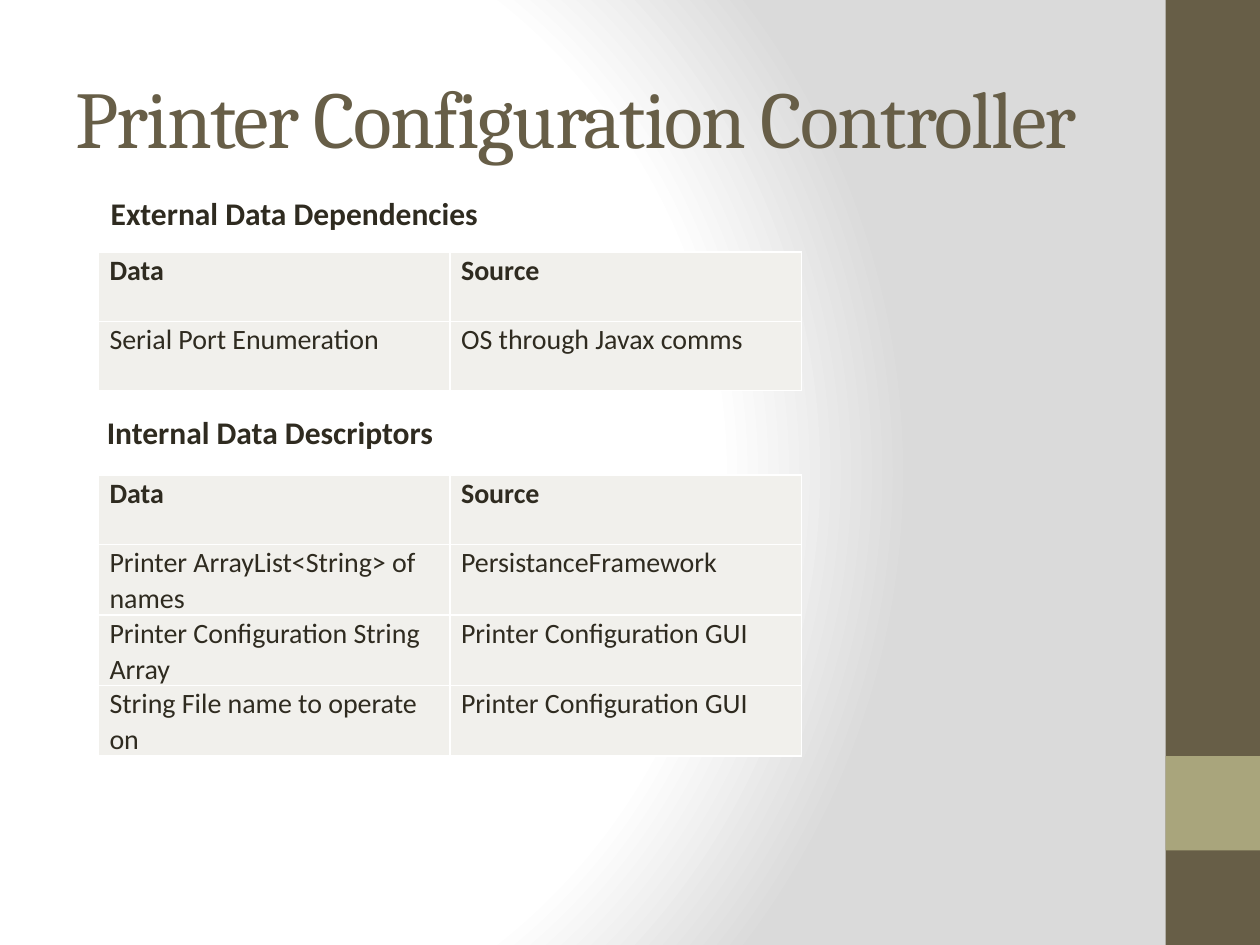
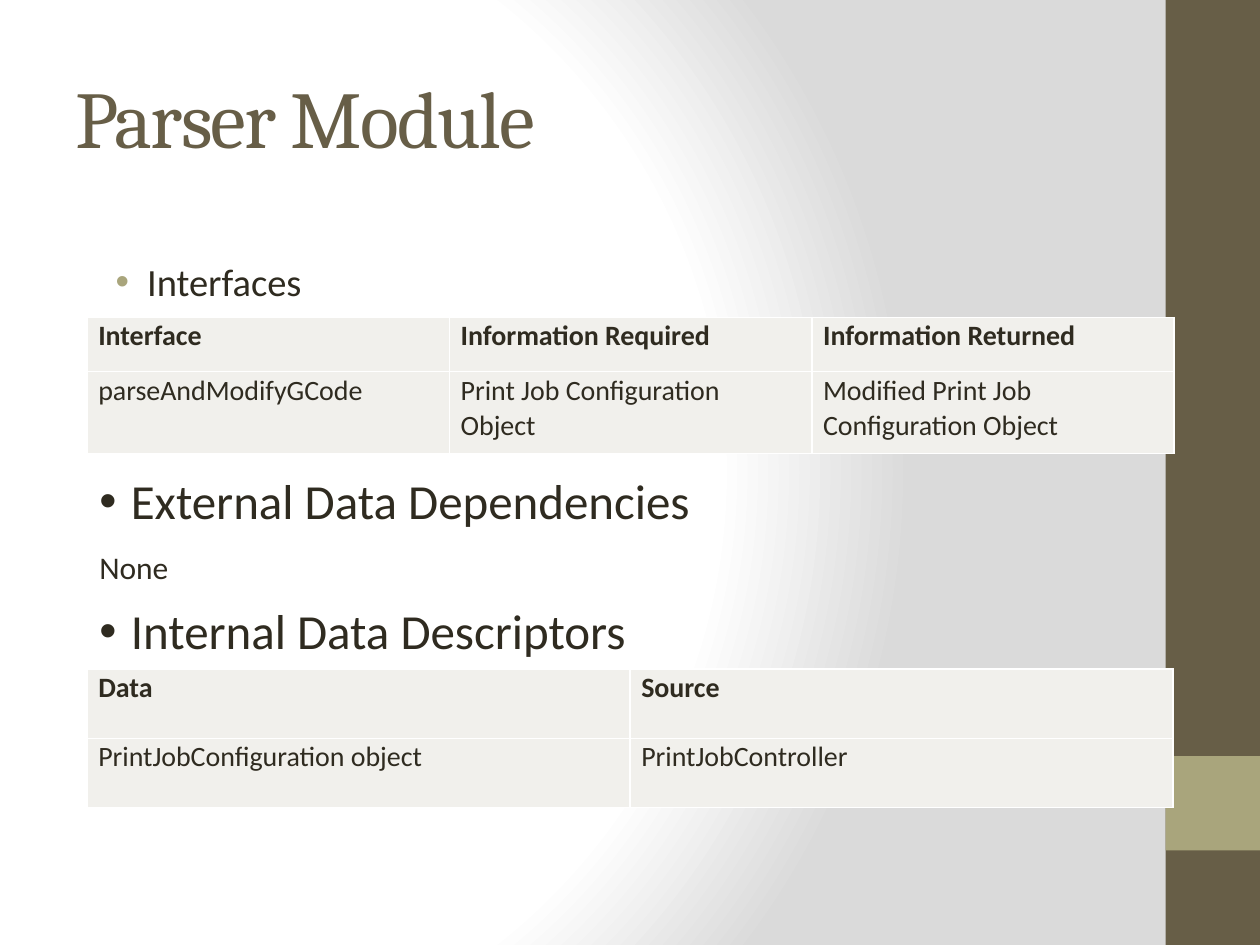
"""Build two software design slides with data tables."""
from dataclasses import dataclass
from typing import Optional

from lxml import etree
from pptx import Presentation
from pptx import util as u
from pptx.dml.color import RGBColor
from pptx.enum import shapes, text
from pptx.oxml import ns, parse_xml


@dataclass(frozen=True)
class Theme:
    brown: str = "675E47"
    olive: str = "A9A57C"
    ink: str = "2F2B20"
    cell: str = "F1F0EC"
    white: str = "FFFFFF"
    grey: str = "DADADA"
    heading_font: str = "Cambria"
    body_font: str = "Calibri"
    title_size: float = 46
    section_size: float = 28
    bullet_size: float = 22
    caption_size: float = 18
    table_size: float = 16


@dataclass(frozen=True)
class Band:
    top: float
    height: float
    color: str


@dataclass(frozen=True)
class Label:
    words: str
    left: float
    top: float
    width: float
    height: float = 0.4
    size: float = 18
    bold: bool = False
    indent: Optional[float] = None
    bullet_color: str = "2F2B20"
    space_before: float = 0
    line_spacing: float = 1.0


@dataclass(frozen=True)
class Grid:
    left: float
    top: float
    width: float
    row_heights: tuple[float, ...]
    rows: tuple[tuple[str, ...], ...]
    body_justified: bool = False
    body_space_after: float = 0


@dataclass(frozen=True)
class Page:
    title: str
    labels: tuple[Label, ...]
    grids: tuple[Grid, ...]


THEME = Theme()
BANDS = (Band(0, 7.5, THEME.brown), Band(6, 0.75, THEME.olive))
DATA_HEADER = ("Data", "Source")


def section(words: str, top: float) -> Label:
    return Label(words, 0.69, top, 8.62, 0.56, THEME.section_size, indent=0.25,
                 space_before=10, line_spacing=0.9)


PAGES = (
    Page(
        "Printer Configuration Controller",
        (
            Label("External Data Dependencies", 0.78, 1.49, 3.21, bold=True),
            Label("Internal Data Descriptors", 0.75, 3.23, 3.03, bold=True),
        ),
        (
            Grid(0.78, 2, 5.58, (0.55,) * 2, (
                DATA_HEADER,
                ("Serial Port Enumeration", "OS through Javax comms"),
            )),
            Grid(0.78, 3.77, 5.58, (0.55,) * 4, (
                DATA_HEADER,
                ("Printer ArrayList<String> of names", "PersistanceFramework"),
                ("Printer Configuration String Array", "Printer Configuration GUI"),
                ("String File name to operate on", "Printer Configuration GUI"),
            )),
        ),
    ),
    Page(
        "Parser Module",
        (
            Label("Interfaces", 0.69, 2, 8.62, 0.56, THEME.bullet_size, indent=0.38,
                  bullet_color=THEME.olive),
            section("External Data Dependencies", 3.74),
            Label("None", 0.69, 4.3, 1.6),
            section("Internal Data Descriptors", 4.77),
        ),
        (
            Grid(0.69, 2.52, 8.63, (0.43, 0.65), (
                ("Interface", "Information Required", "Information Returned"),
                ("parseAndModifyGCode", "Print Job Configuration Object",
                 "Modified Print Job Configuration Object"),
            ), body_space_after=8),
            Grid(0.69, 5.31, 8.62, (0.55,) * 2, (
                DATA_HEADER,
                ("PrintJobConfiguration object", "PrintJobController"),
            ), body_justified=True, body_space_after=8),
        ),
    ),
)


def set_background(master) -> None:
    fill = master.background.fill
    fill.gradient()
    gradient = master.element.xpath("./p:cSld/p:bg/p:bgPr/a:gradFill")[0]
    stops = "".join(
        f'<a:gs pos="{position * 1000}"><a:srgbClr val="{color}"/></a:gs>'
        for position, color in ((0, THEME.white), (75, THEME.white), (100, THEME.grey))
    )
    radial = parse_xml(
        f'<a:gradFill {ns.nsdecls("a")} rotWithShape="1"><a:gsLst>{stops}</a:gsLst>'
        '<a:path path="circle"><a:fillToRect l="20000" t="50000" r="100000" b="50000"/>'
        "</a:path></a:gradFill>"
    )
    gradient.getparent().replace(gradient, radial)


def add_run(paragraph, words: str, size: float, color: str = THEME.ink,
            font: str = THEME.body_font, bold: bool = False):
    run = paragraph.add_run()
    run.text = words
    run.font.size = u.Pt(size)
    run.font.name = font
    run.font.bold = bold
    run.font.color.rgb = RGBColor.from_string(color)
    return run


def add_bands(slide) -> None:
    for band in BANDS:
        shape = slide.shapes.add_shape(
            shapes.MSO_SHAPE.RECTANGLE, u.Inches(9.25), u.Inches(band.top),
            u.Inches(0.75), u.Inches(band.height))
        shape.shadow.inherit = False
        shape.fill.solid()
        shape.fill.fore_color.rgb = RGBColor.from_string(band.color)
        shape.line.fill.background()


def add_box(slide, left: float, top: float, width: float, height: float):
    box = slide.shapes.add_textbox(
        u.Inches(left), u.Inches(top), u.Inches(width), u.Inches(height))
    box.text_frame.word_wrap = True
    return box.text_frame


def add_title(slide, words: str) -> None:
    frame = add_box(slide, 0.5, 0.3, 8.33, 1.25)
    frame.vertical_anchor = text.MSO_ANCHOR.MIDDLE
    run = add_run(frame.paragraphs[0], words, THEME.title_size, THEME.brown,
                  THEME.heading_font)
    run.font._element.set("spc", "-100")


def add_bullet(paragraph, indent: float, color: str) -> None:
    properties = paragraph._p.get_or_add_pPr()
    properties.set("marL", str(u.Inches(indent)))
    properties.set("indent", str(u.Inches(-0.25)))
    bullet_color = etree.SubElement(properties, ns.qn("a:buClr"))
    etree.SubElement(bullet_color, ns.qn("a:srgbClr"), val=color)
    etree.SubElement(properties, ns.qn("a:buFont"), typeface="Arial")
    etree.SubElement(properties, ns.qn("a:buChar"), char="•")


def add_label(slide, label: Label) -> None:
    frame = add_box(slide, label.left, label.top, label.width, label.height)
    paragraph = frame.paragraphs[0]
    paragraph.line_spacing = label.line_spacing
    paragraph.space_before = u.Pt(label.space_before)
    if label.indent is not None:
        add_bullet(paragraph, label.indent, label.bullet_color)
    add_run(paragraph, label.words, label.size, bold=label.bold)


def add_borders(cell) -> None:
    properties = cell._tc.get_or_add_tcPr()
    for index, side in enumerate(("lnL", "lnR", "lnT", "lnB")):
        properties.insert(index, parse_xml(
            f'<a:{side} {ns.nsdecls("a")} w="{u.Pt(1)}"><a:solidFill>'
            f'<a:srgbClr val="{THEME.white}"/></a:solidFill></a:{side}>'))


def fill_cell(cell, words: str, header: bool, grid: Grid) -> None:
    cell.margin_left = cell.margin_right = u.Inches(0.09)
    cell.margin_top = cell.margin_bottom = 0
    cell.fill.solid()
    cell.fill.fore_color.rgb = RGBColor.from_string(THEME.cell)
    add_borders(cell)
    paragraph = cell.text_frame.paragraphs[0]
    justified = header or grid.body_justified
    paragraph.alignment = text.PP_ALIGN.JUSTIFY if justified else text.PP_ALIGN.LEFT
    paragraph.line_spacing = 1.05
    paragraph.space_after = u.Pt(8 if header else grid.body_space_after)
    add_run(paragraph, words, THEME.table_size, bold=header)


def add_grid(slide, grid: Grid) -> None:
    column_count = len(grid.rows[0])
    table = slide.shapes.add_table(
        len(grid.rows), column_count, u.Inches(grid.left), u.Inches(grid.top),
        u.Inches(grid.width), u.Inches(sum(grid.row_heights))).table
    table.first_row = table.horz_banding = False
    for column in table.columns:
        column.width = u.Inches(grid.width / column_count)
    for row_index, (height, words_in_row) in enumerate(zip(grid.row_heights, grid.rows)):
        table.rows[row_index].height = u.Inches(height)
        for column_index, words in enumerate(words_in_row):
            fill_cell(table.cell(row_index, column_index), words, row_index == 0, grid)


def add_page(presentation, page: Page) -> None:
    slide = presentation.slides.add_slide(presentation.slide_layouts[6])
    add_bands(slide)
    add_title(slide, page.title)
    for label in page.labels:
        add_label(slide, label)
    for grid in page.grids:
        add_grid(slide, grid)


def main() -> None:
    presentation = Presentation()
    presentation.slide_width = u.Inches(10)
    presentation.slide_height = u.Inches(7.5)
    set_background(presentation.slide_master)
    for page in PAGES:
        add_page(presentation, page)
    presentation.save("out.pptx")


if __name__ == "__main__":
    main()
